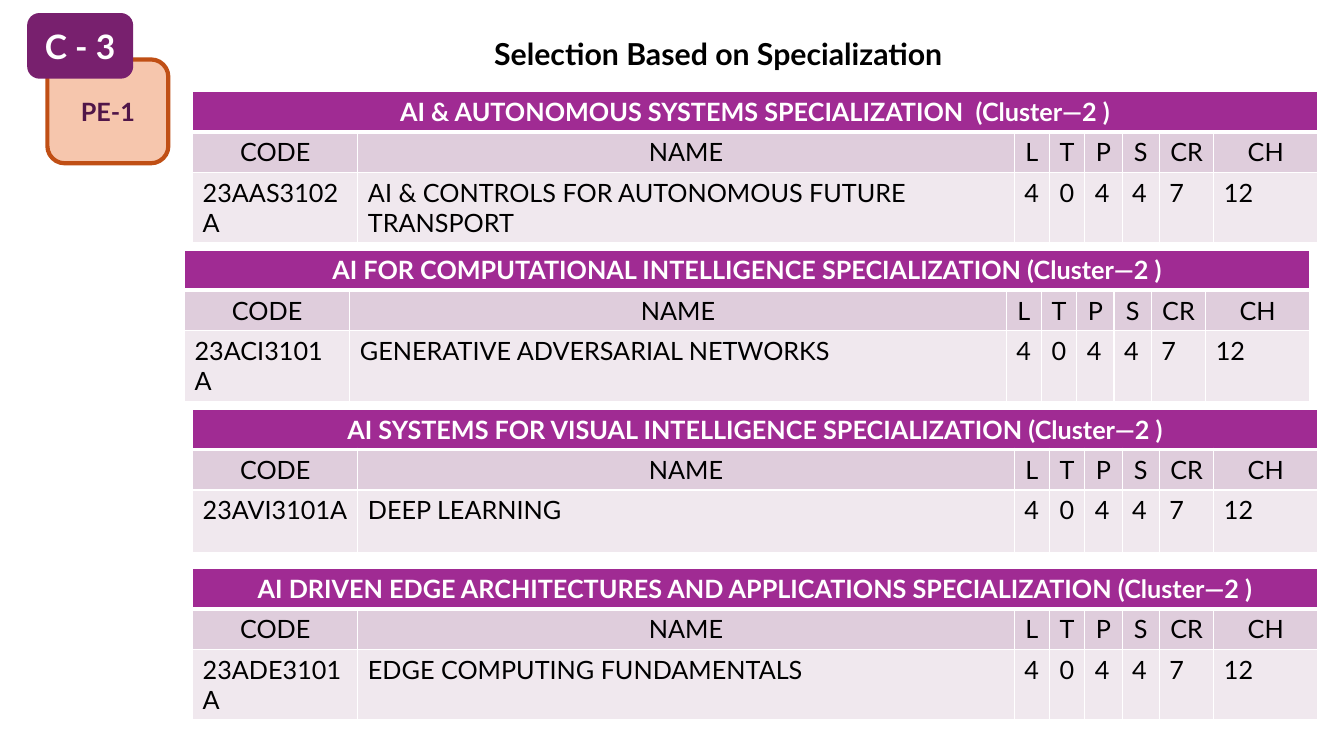
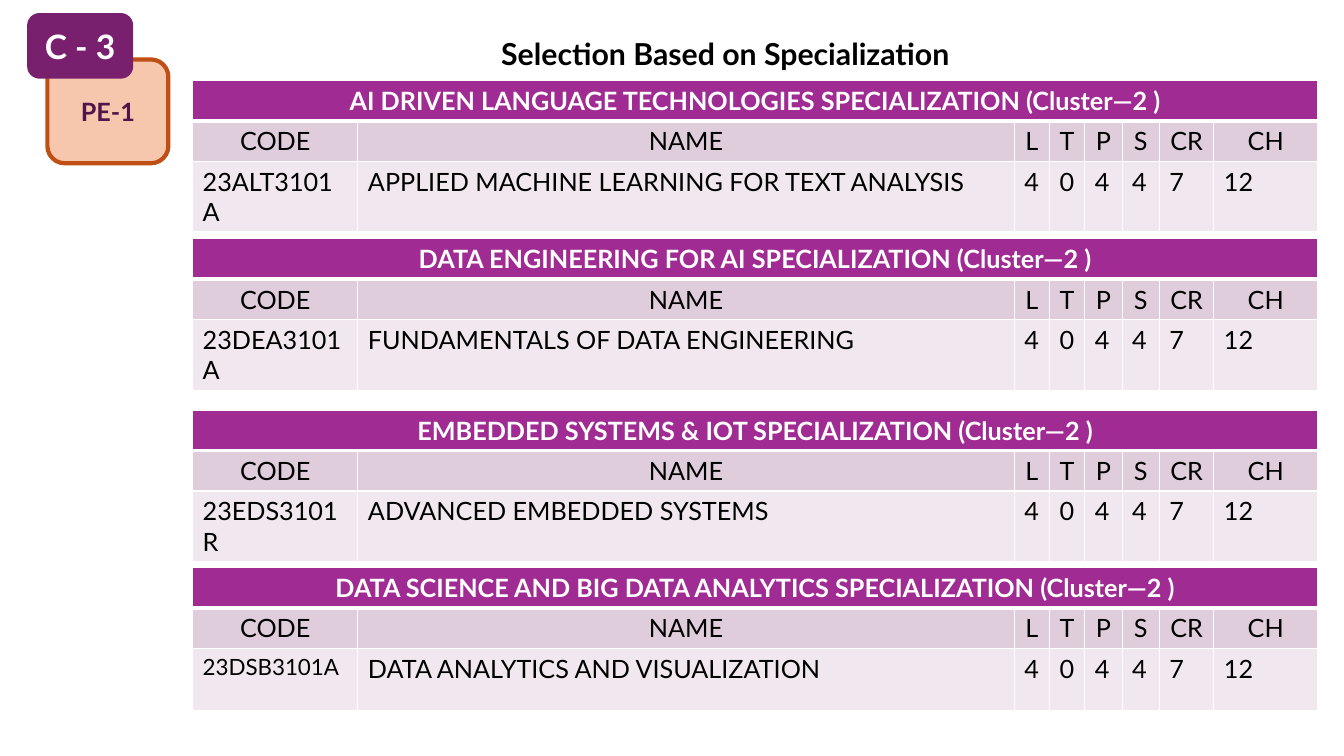
from dataclasses import dataclass

import pptx
import pptx.dml.color
import pptx.enum.shapes
import pptx.enum.text
import pptx.oxml
import pptx.oxml.ns
import pptx.slide
import pptx.table
import pptx.text.text
import pptx.util

Inches = pptx.util.Inches
Pt = pptx.util.Pt
ALIGN = pptx.enum.text.PP_ALIGN
ANCHOR = pptx.enum.text.MSO_ANCHOR

FONT = "Lato"
WHITE, BLACK = "FFFFFF", "000000"
PURPLE, DARK_PURPLE, PLUM = "A02B93", "78206E", "501649"
PEACH, RUST = "F6C6AD", "C04F15"
HEADING_FILL, COURSE_FILL = "DFCDDC", "F0E8EE"

TABLE_LEFT = 1.91
COLUMN_WIDTHS = (1.64, 6.51, 0.35, 0.35, 0.37, 0.37, 0.54, 1.03)
ROW_HEIGHTS = (0.36, 0.36, 0.62)
HEADINGS = ("CODE", "NAME", "L", "T", "P", "S", "CR", "CH")
CREDITS = ("4", "0", "4", "4", "7", "12")
THIN, THICK = 1, 3


@dataclass(frozen=True)
class Specialization:
    top: float
    title: str
    code: str
    course: str
    left: float = TABLE_LEFT
    code_size: float = 18


@dataclass(frozen=True)
class Badge:
    text: str
    left: float
    top: float
    width: float
    height: float
    fill: str
    line: str
    color: str
    size: float


@dataclass(frozen=True)
class Page:
    title_width: float
    specializations: tuple[Specialization, ...]


BADGES = (
    Badge("PE-1", 0.47, 0.59, 1.2, 1.03, PEACH, RUST, PLUM, 18),
    Badge("C - 3", 0.29, 0.15, 1.01, 0.61, DARK_PURPLE, DARK_PURPLE, WHITE, 24),
)

PAGES = (
    Page(4.69, (
        Specialization(0.91, "AI & AUTONOMOUS SYSTEMS SPECIALIZATION  (Cluster—2 )",
                       "23AAS3102A", "AI & CONTROLS FOR AUTONOMOUS FUTURE TRANSPORT"),
        Specialization(2.48, "AI FOR COMPUTATIONAL INTELLIGENCE SPECIALIZATION (Cluster—2 )",
                       "23ACI3101A", "GENERATIVE ADVERSARIAL NETWORKS", left=1.83),
        Specialization(4.06, "AI SYSTEMS FOR VISUAL INTELLIGENCE SPECIALIZATION (Cluster—2 )",
                       "23AVI3101A", "DEEP LEARNING"),
        Specialization(5.64, "AI DRIVEN EDGE ARCHITECTURES AND APPLICATIONS SPECIALIZATION (Cluster—2 )",
                       "23ADE3101A", "EDGE COMPUTING FUNDAMENTALS"),
    )),
    Page(4.83, (
        Specialization(0.8, "AI DRIVEN LANGUAGE TECHNOLOGIES SPECIALIZATION (Cluster—2 )",
                       "23ALT3101A", "APPLIED MACHINE LEARNING FOR TEXT ANALYSIS"),
        Specialization(2.37, "DATA ENGINEERING FOR AI SPECIALIZATION (Cluster—2 )",
                       "23DEA3101A", "FUNDAMENTALS OF DATA ENGINEERING"),
        Specialization(4.07, "EMBEDDED SYSTEMS & IOT SPECIALIZATION (Cluster—2 )",
                       "23EDS3101R", "ADVANCED EMBEDDED SYSTEMS"),
        Specialization(5.63, "DATA SCIENCE AND BIG DATA ANALYTICS SPECIALIZATION (Cluster—2 )",
                       "23DSB3101A", "DATA ANALYTICS AND VISUALIZATION", code_size=16),
    )),
)


def rgb(color: str) -> pptx.dml.color.RGBColor:
    return pptx.dml.color.RGBColor.from_string(color)


def write(frame: pptx.text.text.TextFrame, text: str, size: float, color: str,
          bold: bool = False, align: ALIGN = ALIGN.CENTER) -> None:
    paragraph = frame.paragraphs[0]
    paragraph.text = text
    paragraph.alignment = align
    font = paragraph.font
    font.name, font.size, font.bold = FONT, Pt(size), bold
    font.color.rgb = rgb(color)


def add_title(slide: pptx.slide.Slide, width: float) -> None:
    frame = slide.shapes.add_textbox(
        Inches(4.78), Inches(0.15), Inches(width), Inches(0.61)).text_frame
    frame.word_wrap = True
    frame.vertical_anchor = ANCHOR.BOTTOM
    write(frame, "Selection Based on Specialization", 21.6, BLACK, bold=True)
    frame.paragraphs[0].line_spacing = 0.9


def add_badge(slide: pptx.slide.Slide, badge: Badge) -> None:
    box = slide.shapes.add_shape(
        pptx.enum.shapes.MSO_SHAPE.ROUNDED_RECTANGLE,
        Inches(badge.left), Inches(badge.top), Inches(badge.width), Inches(badge.height))
    box.shadow.inherit = False
    box.fill.solid()
    box.fill.fore_color.rgb = rgb(badge.fill)
    box.line.color.rgb = rgb(badge.line)
    box.line.width = Pt(3)
    box.text_frame.vertical_anchor = ANCHOR.MIDDLE
    write(box.text_frame, badge.text, badge.size, badge.color, bold=True)


def style_cell(cell: pptx.table._Cell, fill: str, top: float, bottom: float) -> None:
    """Fill the cell and give it white borders, of the given widths above and below."""
    properties = cell._tc.get_or_add_tcPr()
    for side, width in (("L", THIN), ("R", THIN), ("T", top), ("B", bottom)):
        properties.append(pptx.oxml.parse_xml(
            f'<a:ln{side} {pptx.oxml.ns.nsdecls("a")} w="{Pt(width)}">'
            f'<a:solidFill><a:srgbClr val="{WHITE}"/></a:solidFill></a:ln{side}>'))
    cell.fill.solid()
    cell.fill.fore_color.rgb = rgb(fill)


def add_specialization(slide: pptx.slide.Slide, item: Specialization) -> None:
    table = slide.shapes.add_table(
        len(ROW_HEIGHTS), len(COLUMN_WIDTHS), Inches(item.left), Inches(item.top),
        Inches(sum(COLUMN_WIDTHS)), Inches(sum(ROW_HEIGHTS))).table
    table.horz_banding = False
    for column, width in zip(table.columns, COLUMN_WIDTHS):
        column.width = Inches(width)
    for row, height in zip(table.rows, ROW_HEIGHTS):
        row.height = Inches(height)

    row_styles = ((PURPLE, THIN, THICK), (HEADING_FILL, THICK, THIN), (COURSE_FILL, THIN, THIN))
    for row, (fill, top, bottom) in zip(table.rows, row_styles):
        for cell in row.cells:
            style_cell(cell, fill, top, bottom)

    title_cell = table.cell(0, 0)
    title_cell.merge(table.cell(0, len(COLUMN_WIDTHS) - 1))
    write(title_cell.text_frame, item.title, 18, WHITE, bold=True)
    for index, (heading, value) in enumerate(zip(HEADINGS, (item.code, item.course, *CREDITS))):
        write(table.cell(1, index).text_frame, heading, 18, BLACK)
        size = item.code_size if heading == "CODE" else 18
        write(table.cell(2, index).text_frame, value, size, BLACK, align=ALIGN.LEFT)


def main() -> None:
    deck = pptx.Presentation()
    deck.slide_width, deck.slide_height = Inches(13.33), Inches(7.5)
    for page in PAGES:
        slide = deck.slides.add_slide(deck.slide_layouts[6])
        add_title(slide, page.title_width)
        for badge in BADGES:
            add_badge(slide, badge)
        for item in page.specializations:
            add_specialization(slide, item)
    deck.save("out.pptx")


if __name__ == "__main__":
    main()
